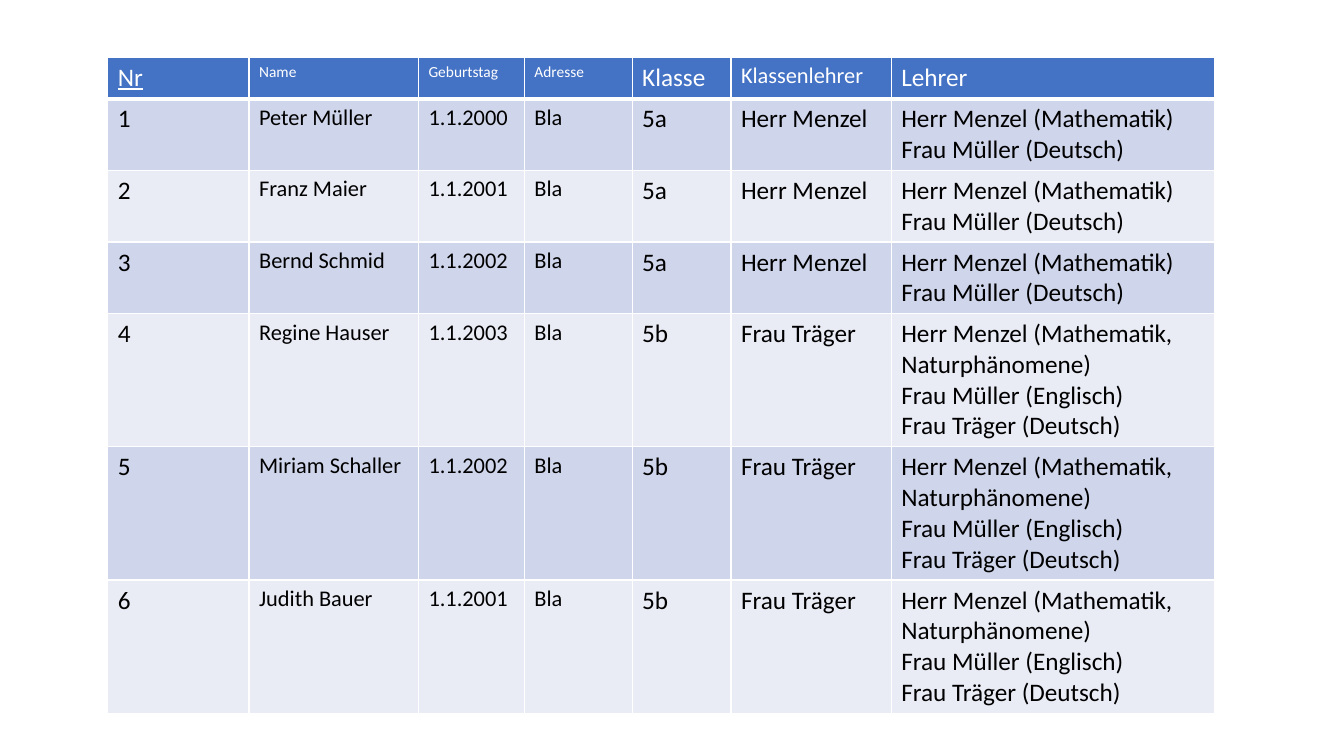
from lxml import etree
from pptx import Presentation
from pptx.dml.color import RGBColor
from pptx.oxml.ns import qn
from pptx.util import Inches, Pt

FONT = "Calibri"
COLORS = {
    "header": "4472C4",
    "odd": "CFD5EA",
    "even": "E9EBF5",
    "light": "FFFFFF",
    "dark": "000000",
}

COLUMN_WIDTHS = [1.4, 1.68, 1.05, 1.07, 0.98, 1.59, 3.21]
ROW_HEIGHT = 0.41
HEADERS = ["Nr", "Name", "Geburtstag", "Adresse", "Klasse", "Klassenlehrer", "Lehrer"]
HEADER_SIZES = [18, 11, 11, 11, 18, 16, 18]
BODY_SIZES = [18, 16, 16, 16, 18, 18, 18]

STUDENTS = [
    ("Peter Müller", "1.1.2000", "5a"),
    ("Franz Maier", "1.1.2001", "5a"),
    ("Bernd Schmid", "1.1.2002", "5a"),
    ("Regine Hauser", "1.1.2003", "5b"),
    ("Miriam Schaller", "1.1.2002", "5b"),
    ("Judith Bauer", "1.1.2001", "5b"),
]
CLASS_TEACHERS = {"5a": "Herr Menzel", "5b": "Frau Träger"}
TEACHERS = {
    "5a": ["Herr Menzel (Mathematik)", "Frau Müller (Deutsch)"],
    "5b": [
        "Herr Menzel (Mathematik, Naturphänomene)",
        "Frau Müller (Englisch)",
        "Frau Träger (Deutsch)",
    ],
}


def fill_cell(cell, lines, size, fill, color):
    """Write one paragraph per line and set the look of the cell."""
    cell.fill.solid()
    cell.fill.fore_color.rgb = RGBColor.from_string(COLORS[fill])
    for index, line in enumerate(lines):
        frame = cell.text_frame
        para = frame.add_paragraph() if index else frame.paragraphs[0]
        span = para.add_run()
        span.text = line
        span.font.name = FONT
        span.font.size = Pt(size)
        span.font.bold = False
        span.font.color.rgb = RGBColor.from_string(COLORS[color])


def add_borders(cell, top, bottom):
    """Draw white cell borders, with top and bottom widths in points."""
    properties = cell._tc.get_or_add_tcPr()
    widths = {"a:lnL": 1, "a:lnR": 1, "a:lnT": top, "a:lnB": bottom}
    for position, (side, width) in enumerate(widths.items()):
        line = etree.Element(qn(side), w=str(Pt(width)))
        solid = etree.SubElement(line, qn("a:solidFill"))
        etree.SubElement(solid, qn("a:srgbClr"), val=COLORS["light"])
        properties.insert(position, line)


deck = Presentation()
deck.slide_width = Inches(13.33)
deck.slide_height = Inches(7.5)
page = deck.slides.add_slide(deck.slide_layouts[6])

rows = [[[header] for header in HEADERS]]
for number, (name, birthday, group) in enumerate(STUDENTS, start=1):
    rows.append([[str(number)], [name], [birthday], ["Bla"], [group],
                 [CLASS_TEACHERS[group]], TEACHERS[group]])

table = page.shapes.add_table(
    len(rows), len(HEADERS), Inches(1.07), Inches(0.57),
    Inches(sum(COLUMN_WIDTHS)), Inches(ROW_HEIGHT * len(rows)),
).table
for column, width in zip(table.columns, COLUMN_WIDTHS):
    column.width = Inches(width)

for row_index, row in enumerate(rows):
    table.rows[row_index].height = Inches(ROW_HEIGHT)
    is_header = row_index == 0
    sizes = HEADER_SIZES if is_header else BODY_SIZES
    fill = "header" if is_header else ("even", "odd")[row_index % 2]
    color = "light" if is_header else "dark"
    for column_index, lines in enumerate(row):
        cell = table.cell(row_index, column_index)
        fill_cell(cell, lines, sizes[column_index], fill, color)
        add_borders(cell, top=3 if row_index == 1 else 1, bottom=3 if is_header else 1)

table.cell(0, 0).text_frame.paragraphs[0].runs[0].font.underline = True

deck.save("out.pptx")
